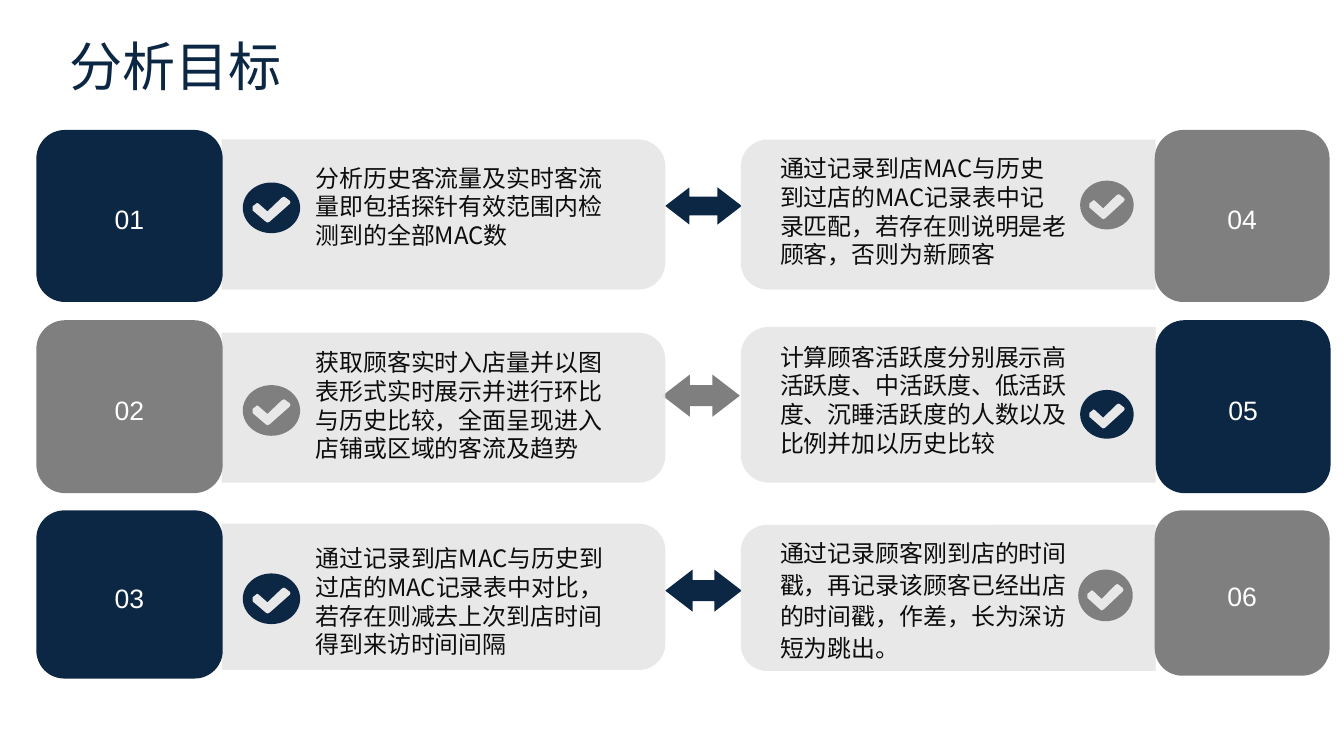
from lxml import etree
from pptx import Presentation
from pptx.dml.color import RGBColor
from pptx.enum.shapes import MSO_SHAPE
from pptx.enum.text import MSO_ANCHOR, PP_ALIGN
from pptx.oxml.ns import qn
from pptx.util import Inches, Pt

ARROW = MSO_SHAPE.LEFT_RIGHT_ARROW
HALF_ROUNDED = MSO_SHAPE.ROUND_2_SAME_RECTANGLE
ROUNDED = MSO_SHAPE.ROUNDED_RECTANGLE
OVAL = MSO_SHAPE.OVAL
MIDDLE, TOP = MSO_ANCHOR.MIDDLE, MSO_ANCHOR.TOP
LEFT, CENTER = PP_ALIGN.LEFT, PP_ALIGN.CENTER

NAVY = RGBColor(0x0C, 0x27, 0x44)
GRAY = RGBColor(0x7F, 0x7F, 0x7F)
PANEL = RGBColor(0xE6, 0xE6, 0xE6)
TICK = RGBColor(0xE8, 0xE8, 0xE8)
INK = RGBColor(0x0D, 0x0D, 0x0D)
WHITE = RGBColor(0xFF, 0xFF, 0xFF)
LATIN, CJK = "Arial", "Noto Sans CJK SC"

# Outline of the tick as fractions of its badge
TICK_POINTS = [
    (0.82, 0.36), (0.75, 0.30), (0.72, 0.28), (0.68, 0.30), (0.43, 0.57),
    (0.28, 0.42), (0.25, 0.40), (0.23, 0.42), (0.17, 0.47), (0.17, 0.55),
    (0.40, 0.77), (0.43, 0.79), (0.47, 0.77), (0.82, 0.42), (0.83, 0.39),
]

prs = Presentation()
prs.slide_width, prs.slide_height = Inches(14.06), Inches(7.91)
slide = prs.slides.add_slide(prs.slide_layouts[6])
shapes = slide.shapes


def paint(shape, color):
    shape.shadow.inherit = False
    shape.fill.solid()
    shape.fill.fore_color.rgb = color
    shape.line.fill.background()
    return shape


def write(shape, text, size=18, font=CJK, color=INK, align=LEFT, anchor=TOP, spacing=None):
    frame = shape.text_frame
    frame.word_wrap = True
    frame.vertical_anchor = anchor
    frame.margin_left = frame.margin_right = frame.margin_top = frame.margin_bottom = 0
    for number, line in enumerate(text.split("\n")):
        paragraph = frame.add_paragraph() if number else frame.paragraphs[0]
        paragraph.alignment = align
        paragraph.line_spacing = spacing
        run = paragraph.add_run()
        run.text = line
        run.font.size = Pt(size)
        run.font.color.rgb = color
        run.font.name = font
        if font == CJK:
            etree.SubElement(run.font._element, qn("a:ea"), typeface=font)


# Title
title = shapes.add_textbox(Inches(0.73), Inches(0.35), Inches(4.73), Inches(0.67))
write(title, "分析目标", size=40, font=LATIN, color=NAVY, anchor=MIDDLE)

# Arrows between the two columns: left, top, width, height
arrows = [
    (6.96, 1.96, 0.8, 0.39, NAVY),
    (6.93, 3.92, 0.81, 0.44, GRAY),
    (6.96, 5.96, 0.8, 0.44, NAVY),
]
for *box, color in arrows:
    arrow = paint(shapes.add_shape(ARROW, *map(Inches, box)), color)
    arrow.adjustments[0], arrow.adjustments[1] = 0.5, 0.65

# Columns: panel left and width, turn, text left and width, tile width
columns = [(2.32, 4.64, 90, 3.3, 3.22, 1.95), (7.75, 4.34, 270, 8.16, 3.01, 1.83)]

# Goals: column, colour, panel top and height, badge box, text top and height,
# tile left, top and height, line spacing, wording
goals = [
    (0, NAVY, (1.46, 1.57), (2.54, 1.91, 0.6, 0.53), (1.71, 0.91), (0.38, 1.36, 1.8), None,
     "分析历史客流量及实时客流量即包括探针有效范围内检测到的全部MAC数"),
    (0, GRAY, (3.48, 1.57), (2.54, 4.03, 0.6, 0.53), (3.64, 1.21), (0.38, 3.35, 1.81), None,
     "获取顾客实时入店量并以图表形式实时展示并进行环比与历史比较，全面呈现进入店铺或区域的客流及趋势"),
    (0, NAVY, (5.48, 1.53), (2.54, 6.0, 0.6, 0.53), (5.69, 1.21), (0.38, 5.34, 1.76), None,
     "通过记录到店MAC与历史到过店的MAC记录表中对比，若存在则减去上次到店时间得到来访时间间隔"),
    (1, GRAY, (1.46, 1.57), (11.3, 1.89, 0.56, 0.51), (1.61, 1.21), (12.08, 1.36, 1.8), None,
     "通过记录到店MAC与历史到过店的MAC记录表中记录匹配，若存在则说明是老顾客，否则为新顾客"),
    (1, NAVY, (3.42, 1.63), (11.3, 4.08, 0.56, 0.51), (3.58, 1.21), (12.09, 3.35, 1.81), None,
     "计算顾客活跃度分别展示高活跃度、中活跃度、低活跃度、沉睡活跃度的人数以及比例并加以历史比较"),
    (1, GRAY, (5.49, 1.53), (11.28, 5.96, 0.57, 0.54), (5.61, 1.33), (12.08, 5.34, 1.73), 1.1,
     "通过记录顾客刚到店的时间戳，再记录该顾客已经出店的时间戳，作差，长为深访\n短为跳出。"),
]
for number, goal in enumerate(goals, 1):
    column, color, panel_span, badge_box, text_span, tile_box, spacing, wording = goal
    panel_left, panel_width, turn, text_left, text_width, tile_width = columns[column]

    # Panel, rounded on its inner side: an upright shape turned about its centre
    panel_top, panel_height = panel_span
    shift = (panel_width - panel_height) / 2
    panel = paint(shapes.add_shape(
        HALF_ROUNDED, Inches(panel_left + shift), Inches(panel_top - shift),
        Inches(panel_height), Inches(panel_width)), PANEL)
    panel.rotation = turn
    panel.adjustments[0] = 0.18
    panel_color = panel.fill._xPr.find(".//" + qn("a:srgbClr"))
    etree.SubElement(panel_color, qn("a:alpha"), val="90000")

    # Badge with tick
    paint(shapes.add_shape(OVAL, *map(Inches, badge_box)), color)
    left, top, width, height = badge_box
    points = [(Inches(left + x * width), Inches(top + y * height)) for x, y in TICK_POINTS]
    outline = shapes.build_freeform(*points[0])
    outline.add_line_segments(points[1:])
    paint(outline.convert_to_shape(), TICK)

    # Wording
    text_top, text_height = text_span
    description = shapes.add_textbox(
        Inches(text_left), Inches(text_top), Inches(text_width), Inches(text_height))
    write(description, wording, spacing=spacing)

    # Numbered tile
    tile_left, tile_top, tile_height = tile_box
    tile = paint(shapes.add_shape(
        ROUNDED, Inches(tile_left), Inches(tile_top),
        Inches(tile_width), Inches(tile_height)), color)
    write(tile, f"{number:02d}", size=20, font=LATIN, color=WHITE,
          align=CENTER, anchor=MIDDLE, spacing=1.2)

prs.save("out.pptx")
